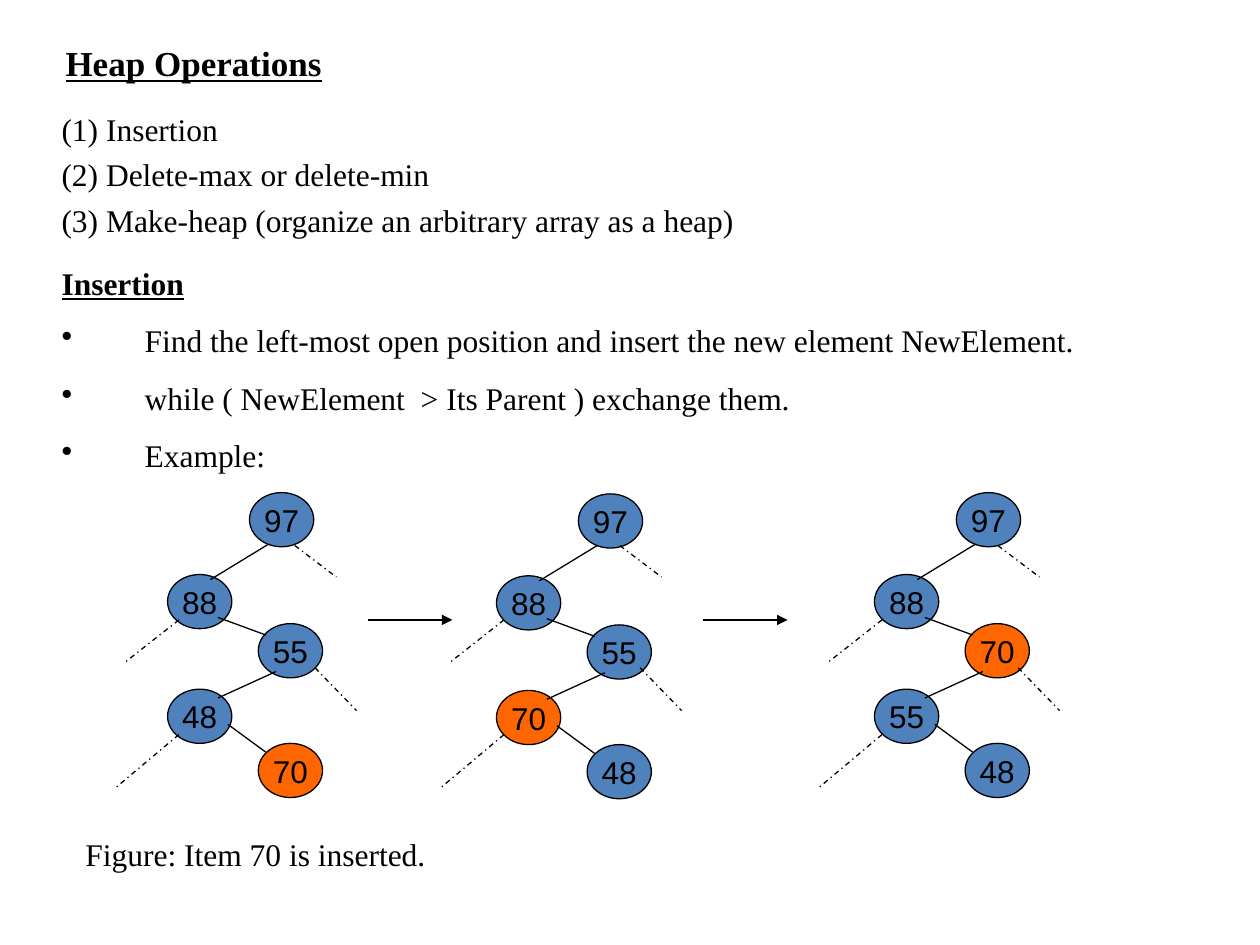
from dataclasses import dataclass

from lxml import etree
from pptx import Presentation, util as u
from pptx.dml.color import RGBColor
from pptx.enum import dml, shapes, text
from pptx.oxml.ns import qn

PX = 9144  # one hundredth of an inch


@dataclass(frozen=True)
class Theme:
    serif: str = "Times New Roman"
    sans: str = "Arial"
    ink: str = "000000"
    node: str = "4F81BD"
    mark: str = "FF6600"
    head: int = 20
    body: int = 18
    rule: float = 0.75


T = Theme()
NODE = (51, 43)
SPOTS = [(109, 0), (44, 65), (116, 104), (44, 156), (116, 199)]
EDGES = [(124, 41, 78, 69), (84, 99, 122, 113),
         (130, 142, 84, 163), (92, 184, 122, 206)]
STUBS = [(142, 42, 175, 67), (158, 139, 191, 173),
         (50, 101, 8, 134), (50, 192, 0, 234)]
STEPS = ["(1) Insertion", "(2) Delete-max or delete-min",
         "(3) Make-heap (organize an arbitrary array as a heap)"]
RULES = ["Find the left-most open position and insert the new element NewElement.",
         "while ( NewElement  > Its Parent ) exchange them.",
         "Example:"]


def px(*nums):
    return [u.Emu(n * PX) for n in nums]


def rgb(code):
    return RGBColor.from_string(code)


def add_run(para, words, size=T.body, face=T.serif, strong=False):
    run = para.add_run()
    run.text = words
    font = run.font
    font.name, font.size = face, u.Pt(size)
    font.color.rgb = rgb(T.ink)
    font.bold = font.underline = strong


def title(slide, box):
    shape = slide.shapes.title
    shape.left, shape.top, shape.width, shape.height = px(*box)
    frame = shape.text_frame
    frame.auto_size = text.MSO_AUTO_SIZE.SHAPE_TO_FIT_TEXT
    frame.vertical_anchor = text.MSO_ANCHOR.MIDDLE
    para = frame.paragraphs[0]
    para.alignment = text.PP_ALIGN.LEFT
    add_run(para, "Heap Operations", T.head, strong=True)


def text_box(slide, box):
    frame = slide.shapes.add_textbox(*px(*box)).text_frame
    frame.word_wrap = True
    return frame


def hang(para, dot):
    """Give a paragraph a hanging indent and, if asked, a bullet."""
    props = para._p.get_or_add_pPr()
    props.set("marL", str(66 * PX))
    props.set("indent", str(-66 * PX))
    if dot:
        etree.SubElement(props, qn("a:buChar")).set("char", "•")
    else:
        etree.SubElement(props, qn("a:buNone"))


def body(slide, box):
    frame = text_box(slide, box)
    rows = [(words, 4.5, False, False) for words in STEPS]
    rows.append(("Insertion", 14.5, True, False))
    rows += [(words, 11.2, False, True) for words in RULES]
    for i, (words, gap, strong, dot) in enumerate(rows):
        para = frame.add_paragraph() if i else frame.paragraphs[0]
        hang(para, dot)
        para.space_before = u.Pt(gap if i else 0)
        add_run(para, words, strong=strong)


def caption(slide, box):
    add_run(text_box(slide, box).paragraphs[0], "Figure: Item 70 is inserted.")


def add_line(parent, ends, dash=False, arrow=False):
    line = parent.add_connector(shapes.MSO_CONNECTOR.STRAIGHT, *px(*ends))
    line.line.color.rgb = rgb(T.ink)
    line.line.width = u.Pt(T.rule)
    if dash:
        line.line.dash_style = dml.MSO_LINE.DASH_DOT
    if arrow:
        stroke = line.line._get_or_add_ln()
        etree.SubElement(stroke, qn("a:tailEnd")).set("type", "triangle")
    etree.SubElement(line._element.spPr, qn("a:effectLst"))


def add_node(parent, box, value):
    node = parent.add_shape(shapes.MSO_SHAPE.OVAL, *px(*box))
    node.shadow.inherit = False
    node.fill.solid()
    node.fill.fore_color.rgb = rgb(T.mark if value == 70 else T.node)
    node.line.color.rgb = rgb(T.ink)
    node.line.width = u.Pt(T.rule)
    frame = node.text_frame
    frame.word_wrap = False
    frame.vertical_anchor = text.MSO_ANCHOR.MIDDLE
    para = frame.paragraphs[0]
    para.alignment = text.PP_ALIGN.CENTER
    add_run(para, str(value), face=T.sans)


def tree(slide, spot, nudge, values):
    """Draw one heap at spot; nudge shifts its dashed branches."""
    x, y = spot
    dx, dy = nudge
    group = slide.shapes.add_group_shape().shapes
    for (a, b), value in zip(SPOTS, values):
        add_node(group, (x + a, y + b, *NODE), value)
    for a, b, c, d in EDGES:
        add_line(group, (x + a, y + b, x + c, y + d))
    for a, b, c, d in STUBS:
        add_line(group, (x + dx + a, y + dy + b, x + dx + c, y + dy + d), dash=True)


def main():
    deck = Presentation()
    deck.slide_width, deck.slide_height = px(1000, 750)
    slide = deck.slides.add_slide(deck.slide_layouts[5])
    title(slide, (42, 25, 850, 50))
    body(slide, (39, 82, 933, 292))
    caption(slide, (58, 658, 350, 40))
    for left in (292, 558):
        add_line(slide.shapes, (left, 492, left + 67, 492), arrow=True)
    tree(slide, (89, 391), (3, 0), (97, 88, 55, 48, 70))
    tree(slide, (350, 392), (0, -1), (97, 88, 55, 70, 48))
    tree(slide, (650, 391), (0, 0), (97, 88, 70, 55, 48))
    deck.save("out.pptx")


if __name__ == "__main__":
    main()
